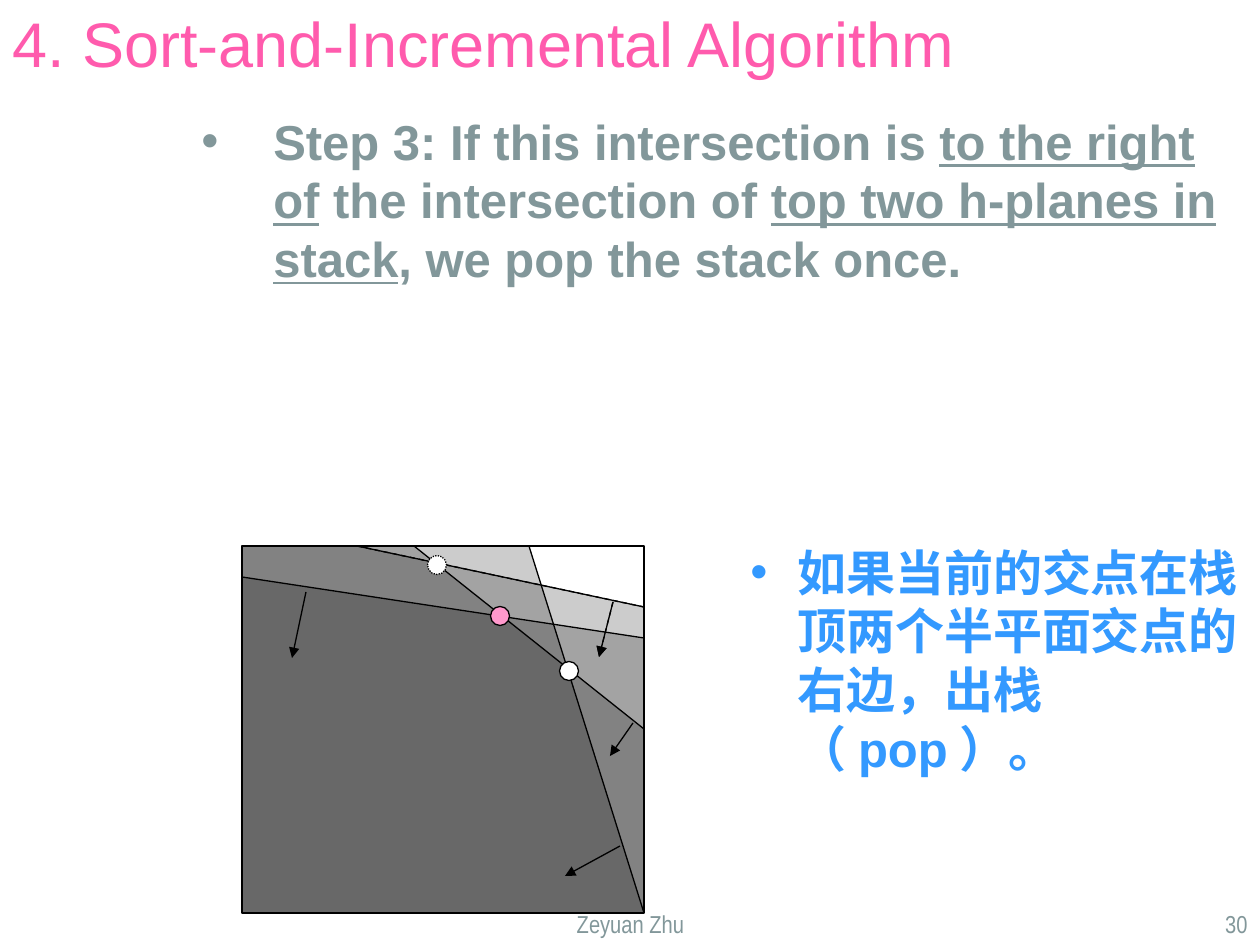
from lxml.etree import SubElement
from pptx import Presentation
from pptx.dml.color import RGBColor
from pptx.enum.dml import MSO_LINE
from pptx.enum.shapes import MSO_CONNECTOR, MSO_SHAPE
from pptx.enum.text import MSO_ANCHOR, PP_ALIGN
from pptx.oxml.ns import qn
from pptx.util import Pt

PX = 914400 / 126
PINK, BLUE, GREY, BLACK = "FF5BAD", "3399FF", "82979A", "000000"

# Content: text as (words, underlined) runs
TITLE = [("4. Sort-and-Incremental Algorithm", False)]
STEP = [
    ("Step 3: If this intersection is ", False),
    ("to the right of", True),
    (" the intersection of ", False),
    ("top two h-planes in stack", True),
    (", we pop the stack once.", False),
]
CHINESE = [("如果当前的交点在栈顶两个半平面交点的右边，出栈（pop）。", False)]
AUTHOR = [("Zeyuan Zhu", False)]
PAGE = [("30", False)]

# Content: diagram, in px
LEFT, TOP, RIGHT, BOTTOM = 242, 546, 644, 913
HALF_PLANES = [
    [(LEFT, TOP), (414, TOP), (RIGHT, 729), (RIGHT, BOTTOM), (LEFT, BOTTOM)],
    [(LEFT, TOP), (529, TOP), (RIGHT, BOTTOM), (LEFT, BOTTOM)],
    [(LEFT, TOP), (357, TOP), (RIGHT, 607), (RIGHT, BOTTOM), (LEFT, BOTTOM)],
    [(LEFT, 577), (RIGHT, 638), (RIGHT, BOTTOM), (LEFT, BOTTOM)],
]
# (boundary, normal arrow, dash)
BOUNDARIES = [
    ((529, TOP, RIGHT, BOTTOM), (620, 846, 565, 876), None),
    ((414, TOP, RIGHT, 729), (633, 723, 610, 756), None),
    ((357, TOP, RIGHT, 607), (613, 602, 599, 657), None),
    ((LEFT, 577, RIGHT, 638), (306, 592, 292, 658), None),
    ((357, TOP, RIGHT, 607), (613, 602, 599, 657), MSO_LINE.DASH),
]
# (centre x, centre y, fill, dash)
INTERSECTIONS = [
    (500, 616, "FF99CC", None),
    (437, 565, "FFFFFF", MSO_LINE.ROUND_DOT),
    (569, 671, "FFFFFF", None),
]
DOT = 19


def px(*lengths):
    return [round(length * PX) for length in lengths]


def paint(target, colour):
    target.solid()
    target.fore_color.rgb = RGBColor.from_string(colour)


def outline(line, dash=None):
    paint(line.fill, BLACK)
    line.width = Pt(0.75)
    if dash:
        line.dash_style = dash


def add_text(runs, box, size, colour, font="Arial", bold=False,
             align=PP_ALIGN.LEFT, anchor=MSO_ANCHOR.TOP, bullet=None):
    frame = slide.shapes.add_textbox(*px(*box)).text_frame
    frame.word_wrap = True
    frame.vertical_anchor = anchor
    paragraph = frame.paragraphs[0]
    paragraph.alignment = align
    paragraph.line_spacing = Pt(round(size * 1.2, 1))
    if bullet:
        margin, hang = px(*bullet)
        properties = paragraph._p.get_or_add_pPr()
        properties.set("marL", str(margin))
        properties.set("indent", str(-hang))
        SubElement(properties, qn("a:buFont"), typeface="Arial")
        SubElement(properties, qn("a:buChar"), char="•")
    for words, underlined in runs:
        run = paragraph.add_run()
        run.text = words
        run.font.name = font
        run.font.size = Pt(size)
        run.font.bold = bold
        run.font.underline = underlined
        run.font.color.rgb = RGBColor.from_string(colour)


def add_line(ends, dash=None, arrow=False):
    connector = slide.shapes.add_connector(MSO_CONNECTOR.STRAIGHT, *px(*ends))
    outline(connector.line, dash)
    if arrow:
        SubElement(connector.line._get_or_add_ln(), qn("a:tailEnd"), type="triangle")
    SubElement(connector._element.spPr, qn("a:effectLst"))


def add_half_plane(corners):
    builder = slide.shapes.build_freeform(*corners[0], scale=PX)
    builder.add_line_segments(corners[1:], close=True)
    area = builder.convert_to_shape()
    area.shadow.inherit = False
    paint(area.fill, BLACK)
    shade = area._element.spPr.find(qn("a:solidFill"))[0]
    SubElement(shade, qn("a:alpha"), val="20000")
    area.line.fill.background()


def add_outlined(kind, box, fill=None, dash=None):
    shape = slide.shapes.add_shape(kind, *px(*box))
    shape.shadow.inherit = False
    if fill:
        paint(shape.fill, fill)
    else:
        shape.fill.background()
    outline(shape.line, dash)


presentation = Presentation()
presentation.slide_width, presentation.slide_height = px(1260, 945)
slide = presentation.slides.add_slide(presentation.slide_layouts[6])

# Title and body text
add_text(TITLE, (0, 0, 1029, 84), 36, PINK, anchor=MSO_ANCHOR.MIDDLE)
add_text(CHINESE, (725, 536, 535, 409), 28, BLUE, bold=True, bullet=(60, 47))
add_text(STEP, (189, 105, 1071, 347), 28, GREY, bold=True, bullet=(72, 72))

# Overlapping half-planes with their boundaries and normals
for corners in HALF_PLANES:
    add_half_plane(corners)
add_outlined(MSO_SHAPE.RECTANGLE, (LEFT, TOP, RIGHT - LEFT, BOTTOM - TOP))
for boundary, normal, dash in BOUNDARIES:
    add_line(boundary, dash)
    add_line(normal, dash, arrow=True)

# Intersection points
for x, y, fill, dash in INTERSECTIONS:
    add_outlined(MSO_SHAPE.OVAL, (x - DOT / 2, y - DOT / 2, DOT, DOT), fill, dash)

# Footer
add_text(AUTHOR, (431, 903, 399, 42), 14, GREY, font="Arial Narrow", align=PP_ALIGN.CENTER)
add_text(PAGE, (998, 903, 262, 42), 14, GREY, font="Arial Narrow", align=PP_ALIGN.RIGHT)

presentation.save("out.pptx")
